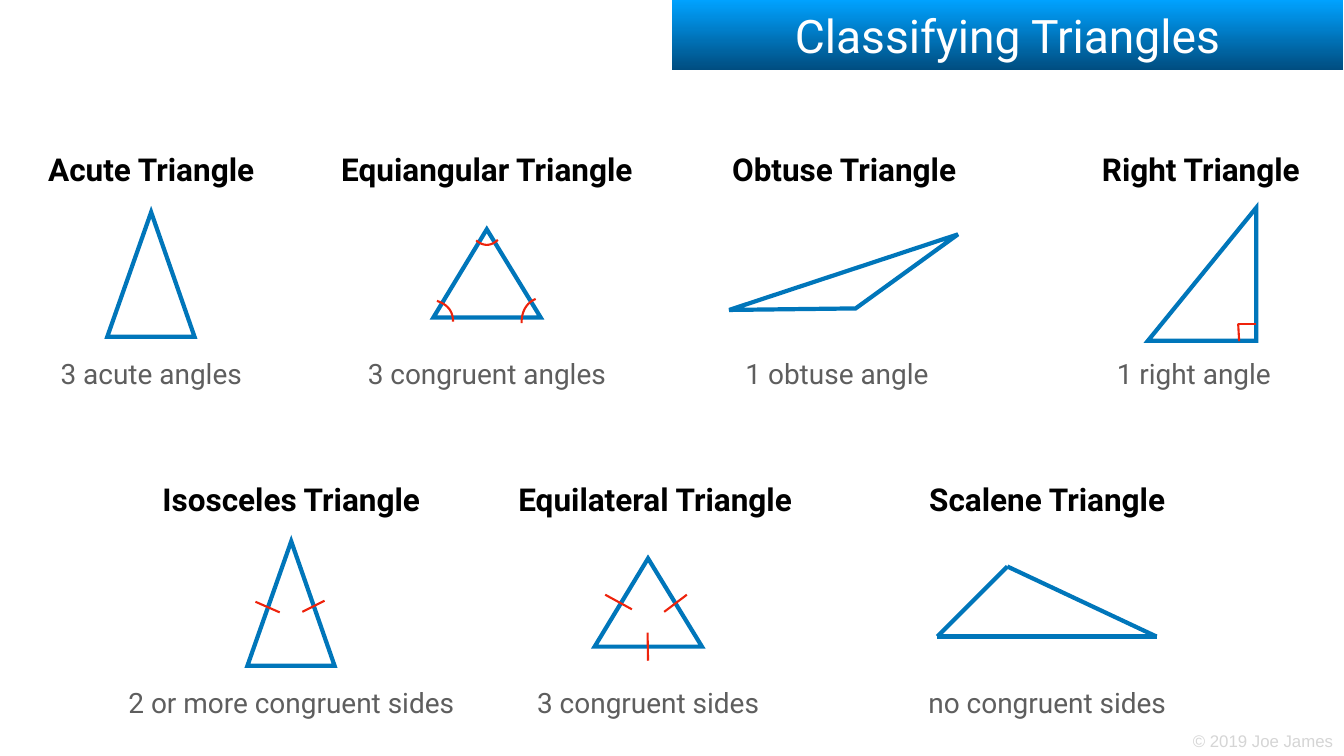
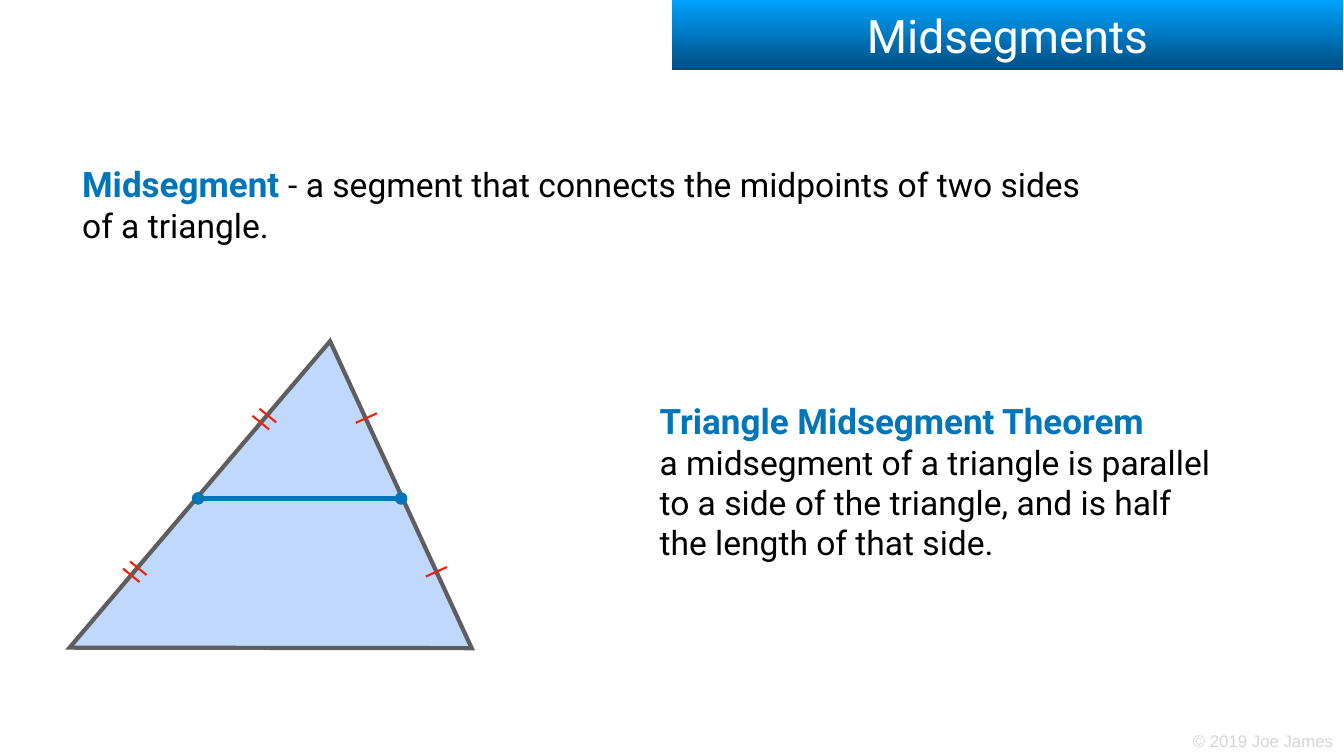
"""Build two geometry slides: classifying triangles and midsegments."""
from lxml import etree
from pptx import Presentation
from pptx.dml.color import RGBColor
from pptx.enum.shapes import MSO_CONNECTOR, MSO_SHAPE
from pptx.enum.text import MSO_ANCHOR, PP_ALIGN
from pptx.oxml.ns import qn
from pptx.util import Inches, Pt

STRAIGHT = MSO_CONNECTOR.STRAIGHT
RECTANGLE = MSO_SHAPE.RECTANGLE
TOP, MIDDLE = MSO_ANCHOR.TOP, MSO_ANCHOR.MIDDLE
LEFT, CENTER = PP_ALIGN.LEFT, PP_ALIGN.CENTER

COLORS = {
    "blue": "0076BA", "red": "EE230C", "gray": "5E5E5E", "black": "000000",
    "white": "FFFFFF", "pale": "D5D5D5", "area": "0067F4",
    "band_top": "00A2FF", "band_bottom": "004D80",
}
FONT = "Roboto"
FOOTER = "© 2019 Joe James"
SIDE, MARK = 6, 3

ROW_TOPS = (2.93, 9.46)
CAPTION_DROP = 4.09
TALL = [(0, 1.28), (0.86, 3.75), (-0.87, 3.75)]
EQUAL = [(0, 1.62), (1.07, 3.37), (-1.06, 3.37)]
OBTUSE = [(0.37, 3.19), (-2.14, 3.22), (2.4, 1.72)]
RIGHT = [(-0.91, 3.83), (1.24, 3.83), (1.24, 1.19)]
SCALENE = [(-2.18, 3.17), (-0.79, 1.78), (2.17, 3.17)]

# row, centre, heading, heading width, heading shift, caption, caption width, corners
TRIANGLES = [
    (0, 3, "Acute Triangle", 4.4, 0, "3 acute angles", 3.75, TALL),
    (0, 9.66, "Equiangular Triangle", 6.22, 0, "3 congruent angles", 4.89, EQUAL),
    (0, 16.61, "Obtuse Triangle", 4.81, 0.14, "1 obtuse angle", 3.8, OBTUSE),
    (0, 23.69, "Right Triangle", 4.24, 0.14, "1 right angle", 3.2, RIGHT),
    (1, 5.78, "Isosceles Triangle", 5.47, 0, "2 or more congruent sides", 6.65, TALL),
    (1, 12.86, "Equilateral Triangle", 5.84, 0.14, "3 congruent sides", 4.57, EQUAL),
    (1, 20.78, "Scalene Triangle", 5.03, 0, "no congruent sides", 4.89, SCALENE),
]
SIDE_TICKS = [
    ((12.01, 11.8), (12.54, 12.09)), ((12.85, 12.55), (12.86, 13.11)),
    ((13.63, 11.8), (13.18, 12.14)), ((5.07, 11.94), (5.55, 12.15)),
    ((6.44, 11.92), (6, 12.14)),
]
RIGHT_ANGLE = [((24.57, 6.42), (24.59, 6.77)), ((24.92, 6.43), (24.56, 6.43))]
ANGLE_ARCS = [
    ((10.35, 6.41), (10.35, 6.17), (10.45, 6.01), (10.63, 5.93)),
    ((8.67, 5.97), (8.88, 6.04), (8.99, 6.17), (8.99, 6.38)),
    ((9.45, 4.77), (9.59, 4.89), (9.74, 4.89), (9.88, 4.76)),
]
ARC_STEPS = 12

DEFINITION = [
    [("Midsegment ", 50, "blue", True),
     ("- a segment that connects the midpoints of two sides", 48, "black", False)],
    [("of a triangle.", 48, "black", False)],
]
THEOREM = [
    [("Triangle Midsegment Theorem", 50, "blue", True)],
    [("a midsegment of a triangle is parallel to a side of the triangle, "
      "and is half the length of that side.", 48, "black", False)],
]
LARGE_TRIANGLE = [(1.38, 12.85), (6.55, 6.77), (9.36, 12.86)]
MIDSEGMENT = ((3.93, 9.89), (7.96, 9.89))
SINGLE_TICKS, SINGLE_SPAN = [(7.06, 8.39), (8.45, 11.44)], (0.42, -0.19)
DOUBLE_TICKS, DOUBLE_SPAN = [(2.44, 11.28), (5.01, 8.25)], (0.33, 0.27)
DOUBLE_GAP = 0.14


def rgb(name):
    return RGBColor.from_string(COLORS[name])


def fill_text(frame, paragraphs, align, anchor, wrap, font):
    frame.word_wrap = wrap
    frame.vertical_anchor = anchor
    frame.margin_left = frame.margin_right = Inches(0.06)
    frame.margin_top = frame.margin_bottom = Inches(0.06)
    for index, spans in enumerate(paragraphs):
        para = frame.add_paragraph() if index else frame.paragraphs[0]
        para.alignment = align
        for text, size, color, bold in spans:
            span = para.add_run()
            span.text = text
            span.font.name = font
            span.font.size = Pt(size)
            span.font.bold = bold
            span.font.color.rgb = rgb(color)


def add_text(page, place, paragraphs, align=CENTER, anchor=MIDDLE, wrap=False, font=FONT):
    box = page.shapes.add_textbox(*map(Inches, place))
    fill_text(box.text_frame, paragraphs, align, anchor, wrap, font)


def style_line(shape, color, width):
    shape.line.color.rgb = rgb(color)
    shape.line.width = Pt(width)


def add_line(page, start, end, color="red", width=MARK, ends=None):
    line = page.shapes.add_connector(STRAIGHT, *map(Inches, (*start, *end)))
    style_line(line, color, width)
    if ends:
        for tag in ("a:headEnd", "a:tailEnd"):
            etree.SubElement(line.line._ln, qn(tag), type=ends)
    etree.SubElement(line._element.spPr, qn("a:effectLst"))


def add_outline(page, points, color, width, close=True):
    corners = [(Inches(x), Inches(y)) for x, y in points]
    builder = page.shapes.build_freeform(*corners[0])
    builder.add_line_segments(corners[1:], close=close)
    outline = builder.convert_to_shape()
    outline.shadow.inherit = False
    outline.fill.background()
    style_line(outline, color, width)
    etree.SubElement(outline.line._ln, qn("a:miter"), lim="800000")
    return outline


def arc_points(start, pull, push, end):
    points = []
    for step in range(ARC_STEPS + 1):
        t = step / ARC_STEPS
        weights = ((1 - t) ** 3, 3 * t * (1 - t) ** 2, 3 * t ** 2 * (1 - t), t ** 3)
        points.append(tuple(
            sum(weight * value for weight, value in zip(weights, values))
            for values in zip(start, pull, push, end)))
    return points


def add_page(deck, title):
    page = deck.slides.add_slide(deck.slide_layouts[6])
    add_text(page, (23.61, 14.45, 2.91, 0.49), [[(FOOTER, 24, "pale", False)]],
             align=LEFT, font="Arial")
    band = page.shapes.add_shape(RECTANGLE, *map(Inches, (13.33, 0, 13.33, 1.39)))
    band.shadow.inherit = False
    band.line.fill.background()
    band.fill.gradient()
    band.fill.gradient_angle = 270
    for stop, color in zip(band.fill.gradient_stops, ("band_top", "band_bottom")):
        stop.color.rgb = rgb(color)
    fill_text(band.text_frame, [[(title, 66, "white", False)]], CENTER, MIDDLE, True, FONT)
    return page


def build_classifying(deck):
    page = add_page(deck, "Classifying Triangles")
    for row, center, heading, width, shift, caption, caption_width, corners in TRIANGLES:
        top = ROW_TOPS[row]
        add_text(page, (center + shift - width / 2, top, width, 0.86),
                 [[(heading, 45, "black", True)]])
        add_text(page, (center - caption_width / 2, top + CAPTION_DROP, caption_width, 0.76),
                 [[(caption, 40, "gray", False)]])
        points = [(center + x, top + y) for x, y in corners]
        if corners is SCALENE:
            for start, end in zip(points, points[1:] + points[:1]):
                add_line(page, start, end, "blue", SIDE)
        else:
            add_outline(page, points, "blue", SIDE)
    for start, end in SIDE_TICKS + RIGHT_ANGLE:
        add_line(page, start, end)
    for arc in ANGLE_ARCS:
        add_outline(page, arc_points(*arc), "red", MARK, close=False)


def build_midsegments(deck):
    page = add_page(deck, "Midsegments")
    add_text(page, (1.57, 3.17, 20.7, 1.73), DEFINITION, LEFT, TOP)
    triangle = add_outline(page, LARGE_TRIANGLE, "gray", SIDE)
    triangle.fill.solid()
    triangle.fill.fore_color.rgb = rgb("area")
    area_color = triangle._element.spPr.find(qn("a:solidFill"))[0]
    etree.SubElement(area_color, qn("a:alpha"), val="25000")
    ticks = [(x, y, SINGLE_SPAN) for x, y in SINGLE_TICKS]
    ticks += [(x + gap, y - gap, DOUBLE_SPAN)
              for x, y in DOUBLE_TICKS for gap in (0, DOUBLE_GAP)]
    for x, y, (across, down) in ticks:
        add_line(page, (x, y), (x + across, y + down))
    add_line(page, *MIDSEGMENT, "blue", SIDE, ends="oval")
    add_text(page, (13.03, 7.87, 11.16, 3.31), THEOREM, LEFT, TOP, wrap=True)


def main():
    deck = Presentation()
    deck.slide_width, deck.slide_height = Inches(26.67), Inches(15)
    build_classifying(deck)
    build_midsegments(deck)
    deck.save("out.pptx")


if __name__ == "__main__":
    main()
